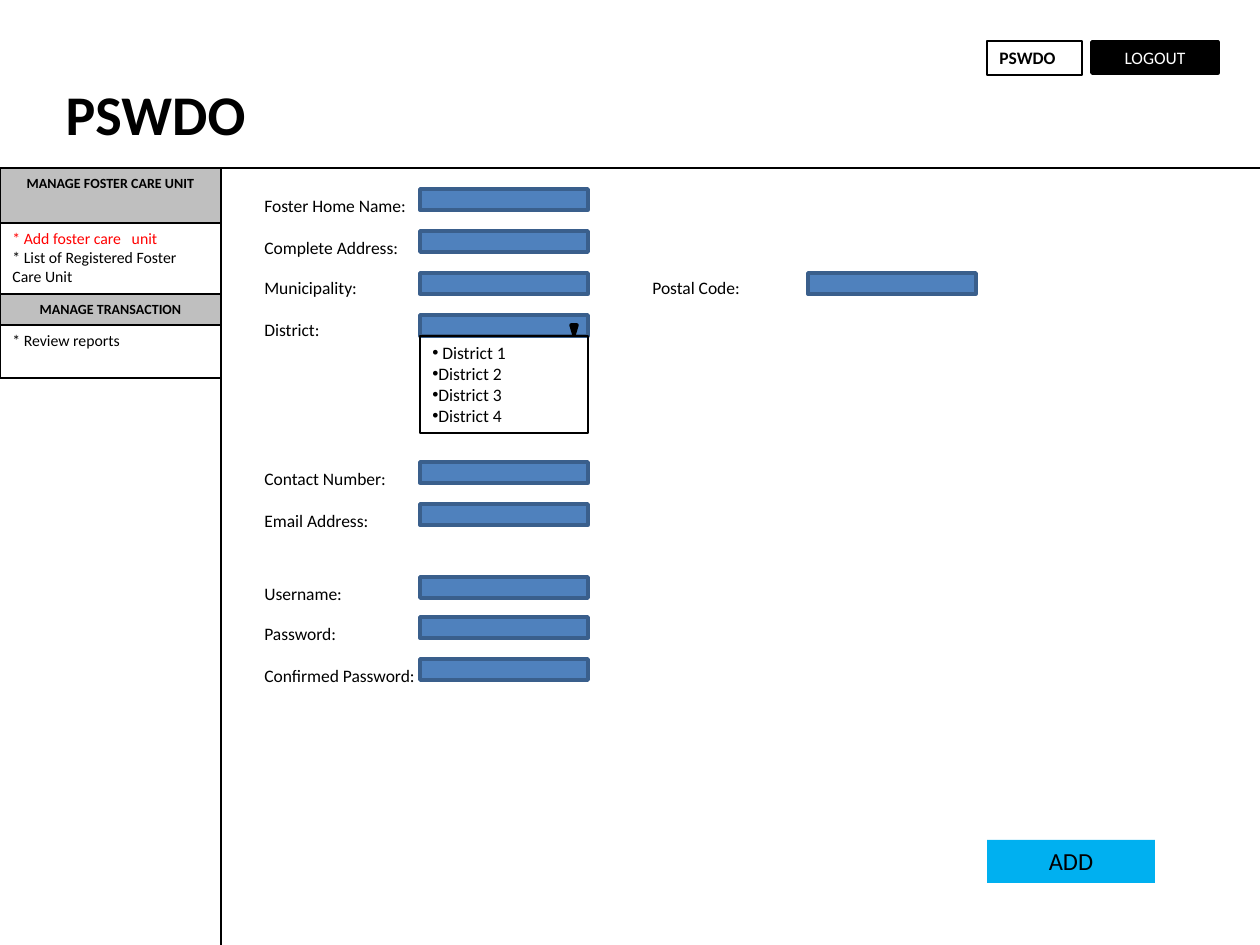
from typing import NamedTuple, Optional

from lxml import etree
from pptx import Presentation
from pptx import util as u
from pptx.dml.color import RGBColor
from pptx.enum import shapes, text
from pptx.oxml import ns

EMU_PER_PX = 914400 / 126
FONT = "Calibri"
COLORS = {
    "black": "000000",
    "white": "FFFFFF",
    "gray": "BFBFBF",
    "red": "FF0000",
    "field": "4F81BD",
    "field_line": "3A5F8C",
    "add": "00B0F0",
}
LEFT, CENTER = text.PP_ALIGN.LEFT, text.PP_ALIGN.CENTER
TOP, MIDDLE = text.MSO_ANCHOR.TOP, text.MSO_ANCHOR.MIDDLE
RECTANGLE = shapes.MSO_SHAPE.RECTANGLE
MERGE = shapes.MSO_SHAPE.FLOWCHART_MERGE

FIELD_WIDTH, FIELD_HEIGHT = 168, 21
LABEL_WIDTH, LABEL_HEIGHT = 179, 34
SIDEBAR_WIDTH, HEADER_BOTTOM = 221, 168


class Area(NamedTuple):
    left: int
    top: int
    width: int
    height: int


class TextStyle(NamedTuple):
    size: int = 10
    color: str = "black"
    bold: bool = False
    align: text.PP_ALIGN = LEFT
    anchor: text.MSO_ANCHOR = TOP


class Field(NamedTuple):
    label: str
    label_left: int
    label_top: int
    field_left: int
    field_top: int


class Box(NamedTuple):
    area: Area
    content: str
    style: TextStyle
    fill: Optional[str] = None
    line: Optional[str] = "black"
    line_width: float = 0.75


HEADING = TextStyle(8, bold=True, align=CENTER)
MENU_ITEM = TextStyle(9)
SIDEBAR = [
    Box(Area(0, 168, SIDEBAR_WIDTH, 55), "MANAGE FOSTER CARE UNIT", HEADING, "gray"),
    Box(Area(0, 223, SIDEBAR_WIDTH, 105),
        "* Add foster care   unit\n* List of Registered Foster Care Unit", MENU_ITEM, "white"),
    Box(Area(0, 294, SIDEBAR_WIDTH, 31), "MANAGE TRANSACTION", HEADING, "gray"),
    Box(Area(0, 325, SIDEBAR_WIDTH, 53), "* Review reports", MENU_ITEM, "white"),
]
BUTTONS = [
    Box(Area(987, 41, 95, 34), "PSWDO", TextStyle(bold=True)),
    Box(Area(1092, 42, 126, 31), "LOGOUT",
        TextStyle(color="white", align=CENTER, anchor=MIDDLE), "black", "black", 2),
    Box(Area(987, 840, 168, 43), "ADD", TextStyle(14, align=CENTER), "add", None),
]
FIELDS = [
    Field("Foster Home Name:", 252, 189, 420, 189),
    Field("Complete Address:", 252, 231, 420, 231),
    Field("Municipality:", 252, 271, 420, 273),
    Field("Postal Code:", 640, 271, 808, 273),
    Field("District:", 252, 313, 420, 315),
    Field("Contact Number:", 252, 462, 420, 462),
    Field("Email Address:", 252, 504, 420, 504),
    Field("Username:", 252, 577, 420, 577),
    Field("Password:", 252, 617, 420, 617),
    Field("Confirmed Password:", 252, 659, 420, 659),
]
DISTRICTS = Box(Area(420, 336, FIELD_WIDTH, 97),
                " District 1\nDistrict 2\nDistrict 3\nDistrict 4", TextStyle())


def px(length: int) -> u.Emu:
    return u.Emu(round(length * EMU_PER_PX))


def rgb(name: str) -> RGBColor:
    return RGBColor.from_string(COLORS[name])


def write(shape, content: str, style: TextStyle) -> None:
    frame = shape.text_frame
    frame.text = content
    frame.word_wrap = True
    frame.auto_size = text.MSO_AUTO_SIZE.NONE
    frame.vertical_anchor = style.anchor
    for paragraph in frame.paragraphs:
        paragraph.alignment = style.align
        for run in paragraph.runs:
            run.font.name = FONT
            run.font.size = u.Pt(style.size)
            run.font.bold = style.bold
            run.font.color.rgb = rgb(style.color)


def add_shape(slide, kind, area: Area, fill: Optional[str], line: Optional[str],
              line_width: float):
    shape = slide.shapes.add_shape(kind, *map(px, area))
    shape.shadow.inherit = False
    if fill:
        shape.fill.solid()
        shape.fill.fore_color.rgb = rgb(fill)
    else:
        shape.fill.background()
    if line:
        shape.line.color.rgb = rgb(line)
        shape.line.width = u.Pt(line_width)
    else:
        shape.line.fill.background()
    return shape


def add_box(slide, box: Box):
    shape = add_shape(slide, RECTANGLE, box.area, box.fill, box.line, box.line_width)
    write(shape, box.content, box.style)
    return shape


def add_field(slide, field: Field) -> None:
    area = Area(field.field_left, field.field_top, FIELD_WIDTH, FIELD_HEIGHT)
    add_shape(slide, RECTANGLE, area, "field", "field_line", 2)
    label_area = Area(field.label_left, field.label_top, LABEL_WIDTH, LABEL_HEIGHT)
    label = slide.shapes.add_textbox(*map(px, label_area))
    write(label, field.label, TextStyle())


def add_rule(slide, *ends: int) -> None:
    """Draw a divider from x1, y1 to x2, y2."""
    rule = slide.shapes.add_connector(shapes.MSO_CONNECTOR.STRAIGHT, *map(px, ends))
    rule.line.color.rgb = rgb("black")
    rule.line.width = u.Pt(0.75)
    properties = rule._element.find(ns.qn("p:spPr"))
    etree.SubElement(properties, ns.qn("a:effectLst"))


def add_bullets(shape) -> None:
    for paragraph in shape.text_frame.paragraphs:
        properties = paragraph._p.get_or_add_pPr()
        etree.SubElement(properties, ns.qn("a:buFont"), typeface="Arial")
        etree.SubElement(properties, ns.qn("a:buChar"), char="•")


def main() -> None:
    presentation = Presentation()
    presentation.slide_width, presentation.slide_height = px(1260), px(945)
    slide = presentation.slides.add_slide(presentation.slide_layouts[5])

    title = slide.shapes.title
    title.left, title.top, title.width, title.height = map(px, Area(53, 73, 378, 81))
    write(title, "PSWDO", TextStyle(32, bold=True))

    add_rule(slide, SIDEBAR_WIDTH, HEADER_BOTTOM, SIDEBAR_WIDTH, 945)
    add_rule(slide, 0, HEADER_BOTTOM, 1260, HEADER_BOTTOM)

    menus = [add_box(slide, box) for box in SIDEBAR]
    current_item = menus[1].text_frame.paragraphs[0].runs[0]
    current_item.font.color.rgb = rgb("red")

    for field in FIELDS:
        add_field(slide, field)
    add_shape(slide, MERGE, Area(571, 325, 6, 10), "black", "black", 2)
    add_bullets(add_box(slide, DISTRICTS))

    for button in BUTTONS:
        add_box(slide, button)
    presentation.save("out.pptx")


if __name__ == "__main__":
    main()
